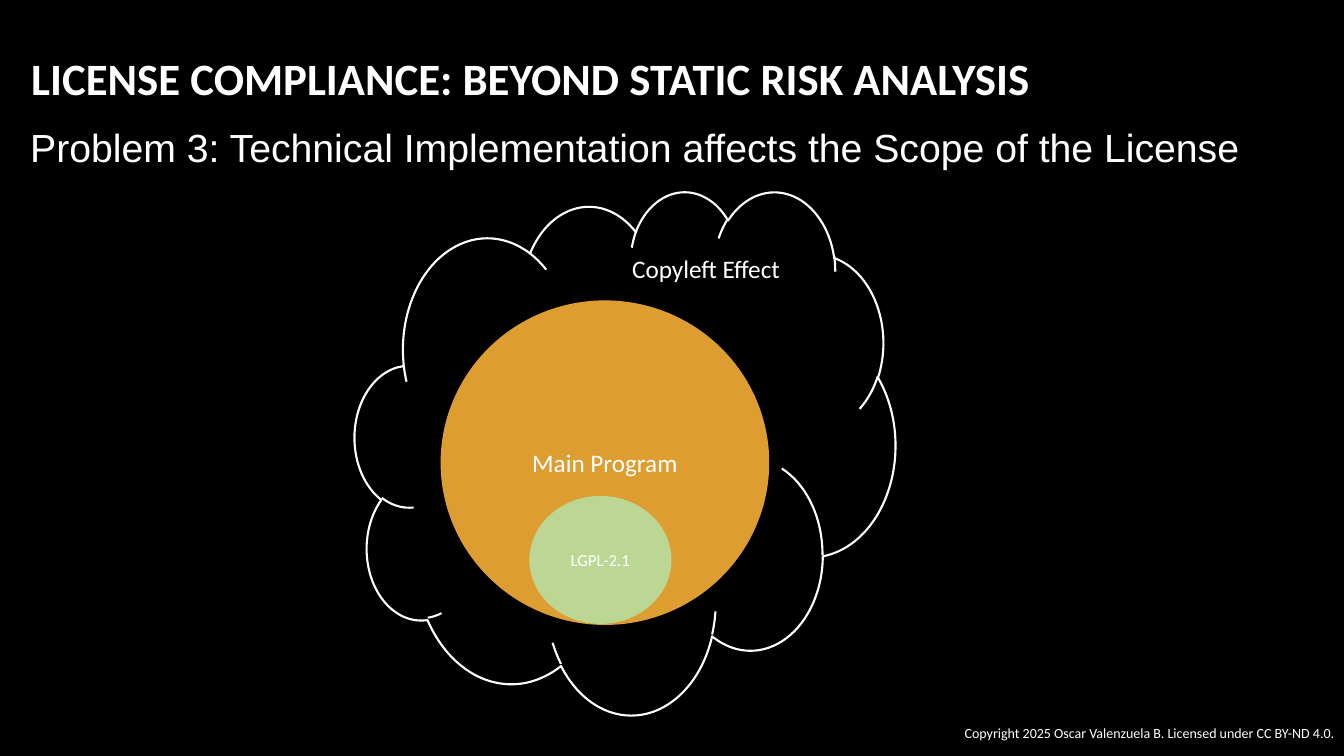
from pptx import Presentation
from pptx.dml.color import RGBColor
from pptx.enum.shapes import MSO_SHAPE as Preset
from pptx.enum.text import MSO_ANCHOR as Anchor, MSO_AUTO_SIZE as AutoSize, PP_ALIGN as Align
from pptx.util import Inches, Pt

BLACK, WHITE, ORANGE, GREEN = "000000", "FFFFFF", "DD9D31", "BCD694"


def color(value):
    return RGBColor.from_string(value)


class Page:
    font = "Calibri"
    text_color = WHITE

    def __init__(self, deck):
        self.slide = deck.slides.add_slide(deck.slide_layouts[5])
        background = self.slide.background.fill
        background.solid()
        background.fore_color.rgb = color(BLACK)

    def set_text(self, shape, text, size, align, anchor, font=None, bold=False):
        frame = shape.text_frame
        frame.text = text
        frame.word_wrap = True
        frame.auto_size = AutoSize.NONE
        frame.vertical_anchor = anchor
        para = frame.paragraphs[0]
        para.alignment = align
        para.font.name = font or self.font
        para.font.size = Pt(size)
        para.font.bold = bold
        para.font.color.rgb = color(self.text_color)
        return para

    def title(self, text, left, top, width, height):
        box = self.slide.shapes.title
        box.left, box.top = Inches(left), Inches(top)
        box.width, box.height = Inches(width), Inches(height)
        para = self.set_text(box, text, 32, Align.LEFT, Anchor.BOTTOM, bold=True)
        para.line_spacing = 0.9

    def label(self, text, left, top, width, height, size, align=Align.LEFT, inset=0.0, font=None):
        box = self.slide.shapes.add_textbox(
            Inches(left), Inches(top), Inches(width), Inches(height))
        box.text_frame.margin_left = Inches(inset)
        self.set_text(box, text, size, align, Anchor.TOP, font)

    def shape(self, preset, left, top, width, height):
        shape = self.slide.shapes.add_shape(
            preset, Inches(left), Inches(top), Inches(width), Inches(height))
        shape.shadow.inherit = False
        return shape

    def cloud(self, left, top, width, height):
        cloud = self.shape(Preset.CLOUD, left, top, width, height)
        cloud.fill.background()
        cloud.line.color.rgb = color(WHITE)
        cloud.line.width = Pt(1.5)

    def circle(self, text, left, top, width, height, fill, size):
        circle = self.shape(Preset.OVAL, left, top, width, height)
        circle.fill.solid()
        circle.fill.fore_color.rgb = color(fill)
        circle.line.fill.background()
        self.set_text(circle, text, size, Align.CENTER, Anchor.MIDDLE)


def main():
    deck = Presentation()
    deck.slide_width, deck.slide_height = Inches(13.33), Inches(7.5)
    page = Page(deck)
    page.title("LICENSE COMPLIANCE: BEYOND STATIC RISK ANALYSIS", 0.21, 0.35, 12.58, 0.74)
    page.label("Problem 3: Technical Implementation affects the Scope of the License",
               0.3, 1.17, 12.24, 0.57, 28, font="Arial")
    page.cloud(3.52, 1.89, 5.36, 5.19)
    page.circle("Main Program", 4.37, 2.98, 3.26, 3.22, ORANGE, 18)
    page.circle("LGPL-2.1", 5.25, 4.92, 1.41, 1.27, GREEN, 12)
    page.label("Copyleft Effect", 6.27, 2.46, 1.82, 0.4, 18)
    page.label("Copyright 2025 Oscar Valenzuela B. Licensed under CC BY-ND 4.0.",
               0, 7.14, 13.33, 0.27, 10, Align.RIGHT, 0.1)
    deck.save("out.pptx")


if __name__ == "__main__":
    main()
